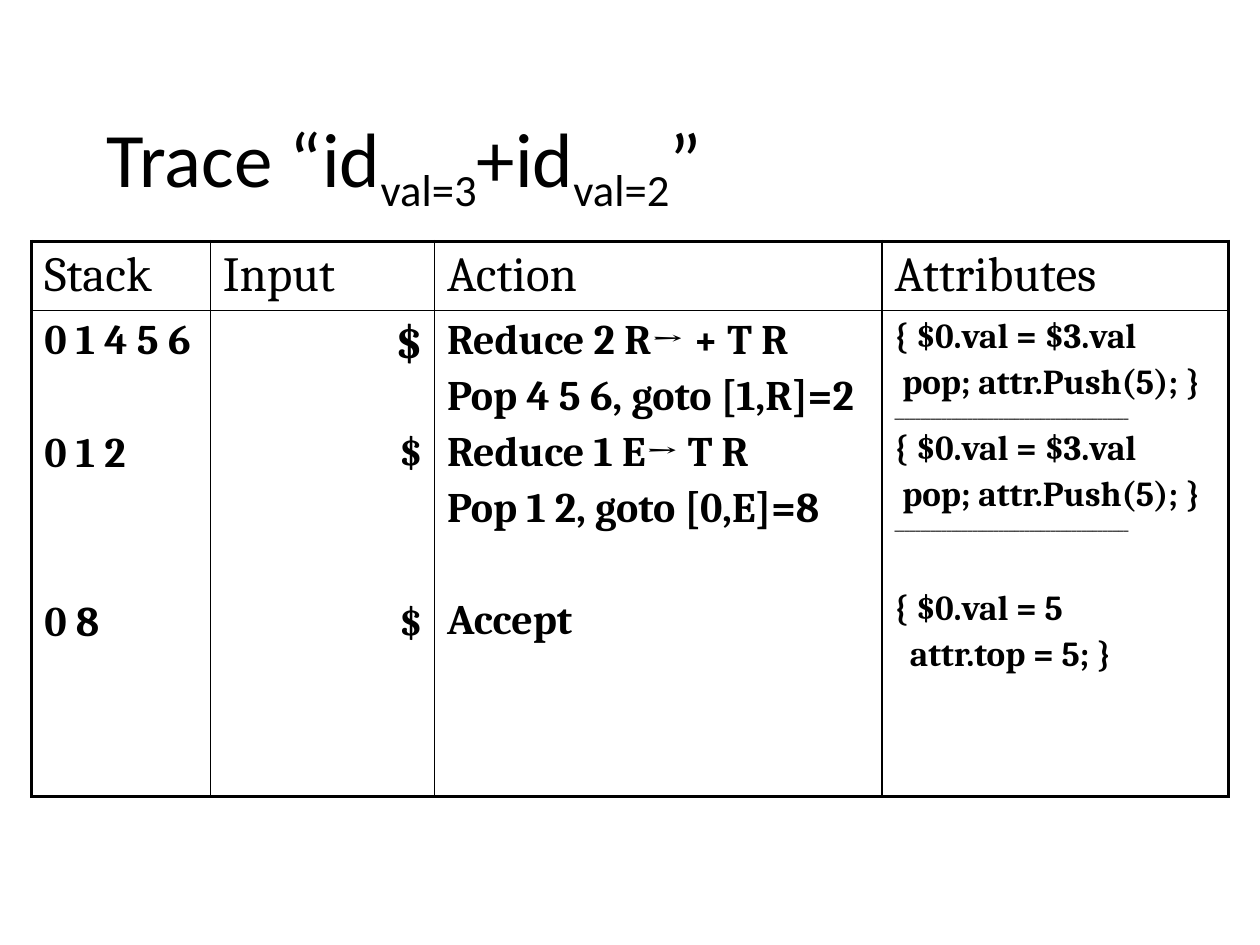
"""Build the slide that traces a parse with its stack, input, action and attributes."""
from lxml.etree import SubElement
from pptx import Presentation
from pptx.dml.color import RGBColor
from pptx.enum.text import MSO_ANCHOR, PP_ALIGN
from pptx.oxml.ns import qn
from pptx.util import Cm, Pt

BLACK = RGBColor(0, 0, 0)
LEADING = 0.18
THIN, THICK = Pt(1), Pt(2.25)
RULE = "_" * 45


def add_run(paragraph, text, size, font="Cambria", bold=False, baseline=0):
    run = paragraph.add_run()
    run.text = text
    run.font.name = font
    run.font.size = Pt(size)
    run.font.bold = bold
    run.font.color.rgb = BLACK
    if baseline:
        run.font._element.set("baseline", str(baseline * 1000))


def add_border(cell, side, width):
    line = SubElement(cell._tc.get_or_add_tcPr(), qn(f"a:ln{side}"), w=str(int(width)))
    fill = SubElement(line, qn("a:solidFill"))
    SubElement(fill, qn("a:srgbClr"), val=str(BLACK))


prs = Presentation()
prs.slide_width, prs.slide_height = Cm(25.4), Cm(19.05)
slide = prs.slides.add_slide(prs.slide_layouts[5])

title = slide.shapes.title
title.left, title.top, title.width, title.height = Cm(1.9), Cm(1.7), Cm(21.6), Cm(3.18)
title.text_frame.vertical_anchor = MSO_ANCHOR.MIDDLE
heading = title.text_frame.paragraphs[0]
heading.alignment = PP_ALIGN.LEFT
for text, baseline in [("Trace “id", 0), ("val=3", -25), ("+id", 0), ("val=2", -25), ("”", 0)]:
    add_run(heading, text, 44, font="Calibri", baseline=baseline)

headers = ["Stack", "Input", "Action", "Attributes"]
widths = [3.6, 4.52, 9.02, 6.99]
heights = [1, 9.8]

# Each trace line is text, size and an optional space before it in points.
trace = [
    [("0 1 4 5 6", 24), ("0 1 2", 24, 36.8), ("0 8", 24, 69.2)],
    [("$", 28), ("$", 24, 32.4), ("$", 24, 69.2)],
    [
        ("Reduce 2 R→ + T R", 24),
        ("Pop 4 5 6, goto [1,R]=2", 24),
        ("Reduce 1 E→ T R", 24),
        ("Pop 1 2, goto [0,E]=8", 24),
        ("Accept", 24, 36.8),
    ],
    [("{ $0.val = $3.val", 20), (" pop; attr.Push(5); }", 20), (RULE, 8)] * 2
    + [("{ $0.val = 5", 20, 30.9), ("  attr.top = 5; }", 20)],
]
rows = [[[(header, 28)] for header in headers], trace]

table = slide.shapes.add_table(
    len(rows), len(headers), Cm(0.64), Cm(4.87), Cm(sum(widths)), Cm(sum(heights))
).table
for column, width in zip(table.columns, widths):
    column.width = Cm(width)
for row, height in zip(table.rows, heights):
    row.height = Cm(height)

for r, contents in enumerate(rows):
    for c, lines in enumerate(contents):
        cell = table.cell(r, c)
        outer_sides = {
            "L": c == 0,
            "R": c == len(headers) - 1,
            "T": r == 0,
            "B": r == len(rows) - 1,
        }
        for side, outer in outer_sides.items():
            add_border(cell, side, THICK if outer else THIN)
        cell.fill.background()
        for i, (text, size, *gap) in enumerate(lines):
            frame = cell.text_frame
            paragraph = frame.add_paragraph() if i else frame.paragraphs[0]
            if i:
                paragraph.space_before = Pt(gap[0] if gap else LEADING * size)
            if r and headers[c] == "Input":
                paragraph.alignment = PP_ALIGN.RIGHT
            add_run(paragraph, text, size, bold=r > 0)

prs.save("out.pptx")
